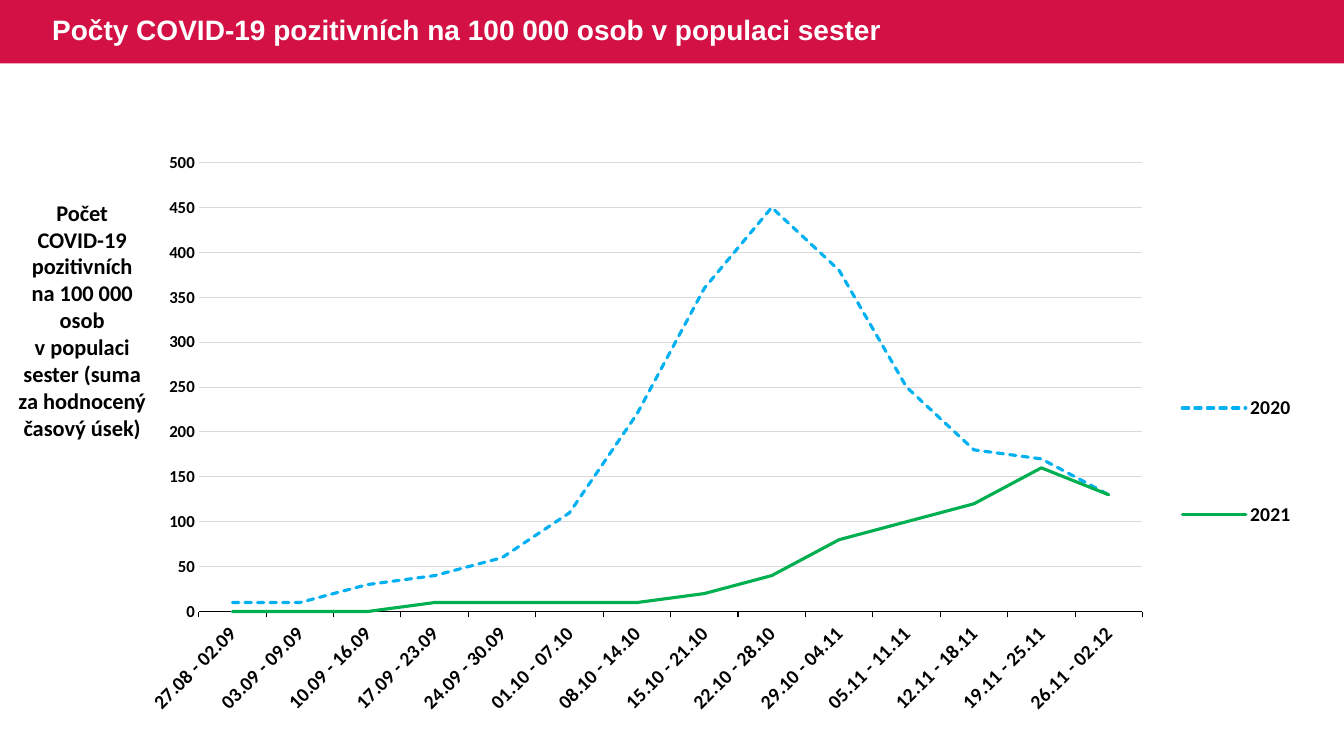
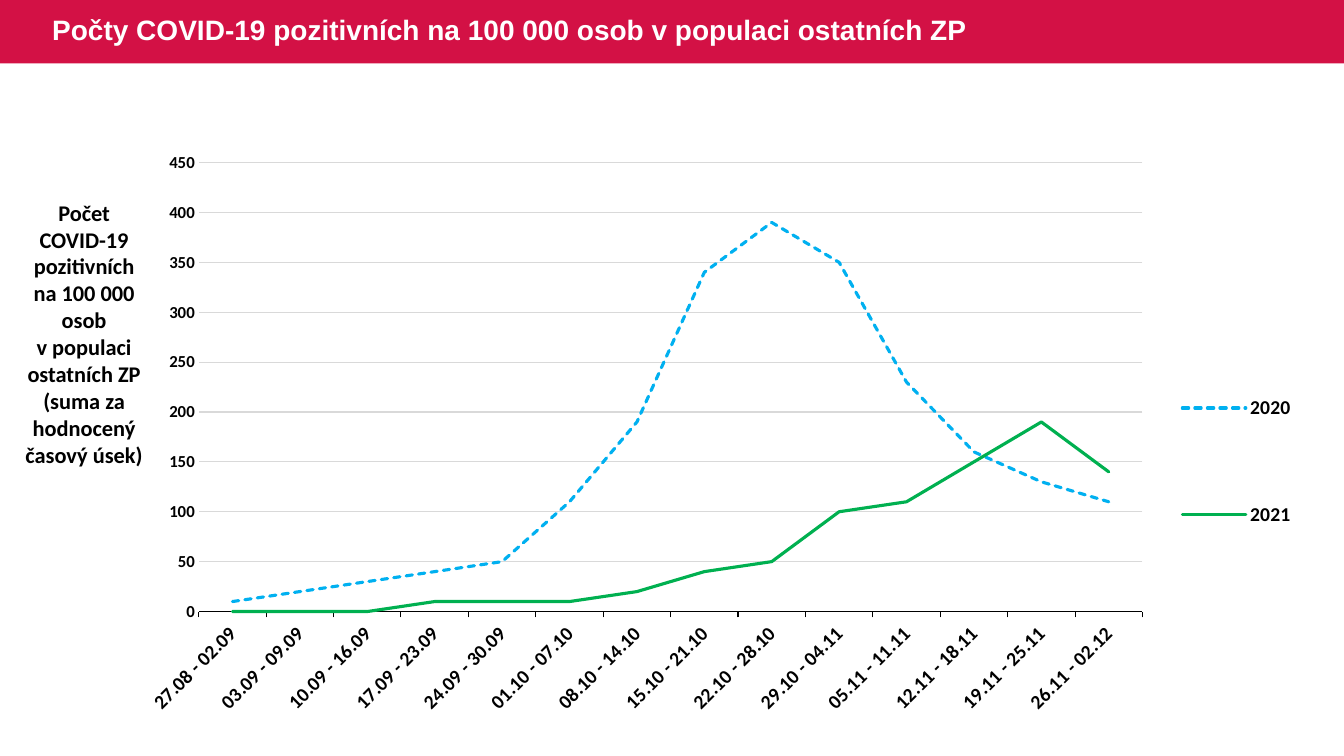
from dataclasses import dataclass

from lxml.etree import SubElement
from pptx import Presentation
from pptx.chart.data import CategoryChartData
from pptx.dml.color import RGBColor
from pptx.enum.chart import XL_CHART_TYPE, XL_LEGEND_POSITION, XL_TICK_MARK
from pptx.enum.dml import MSO_LINE
from pptx.enum.shapes import MSO_SHAPE
from pptx.enum.text import MSO_ANCHOR, PP_ALIGN
from pptx.oxml.ns import qn
from pptx.util import Pt

# Content
HARD_SPACE = chr(160)
RATE = f"Počet COVID-19 pozitivních na{HARD_SPACE}100{HARD_SPACE}000 osob v{HARD_SPACE}populaci"
PERIOD = "(suma za hodnocený časový úsek)"
WEEKS = [
    "27.08 - 02.09", "03.09 - 09.09", "10.09 - 16.09", "17.09 - 23.09",
    "24.09 - 30.09", "01.10 - 07.10", "08.10 - 14.10", "15.10 - 21.10",
    "22.10 - 28.10", "29.10 - 04.11", "05.11 - 11.11", "12.11 - 18.11",
    "19.11 - 25.11", "26.11 - 02.12",
]
SLIDES = [
    {
        "title": "Počty COVID-19 pozitivních na 100 000 osob v populaci sester",
        "axis_note": f"{RATE} sester {PERIOD}",
        "note_box": (4, 138.5, 109.4, 163),
        "axis_maximum": 500,
        "series": {
            "2020": [10, 10, 30, 40, 60, 110, 220, 360, 450, 380, 250, 180, 170, 130],
            "2021": [0, 0, 0, 10, 10, 10, 10, 20, 40, 80, 100, 120, 160, 130],
        },
    },
    {
        "title": "Počty COVID-19 pozitivních na 100 000 osob v populaci ostatních ZP",
        "axis_note": f"{RATE} ostatních ZP {PERIOD}",
        "note_box": (10.8, 138.5, 98.6, 201),
        "axis_maximum": 450,
        "series": {
            "2020": [10, 20, 30, 40, 50, 110, 190, 340, 390, 350, 230, 160, 130, 110],
            "2021": [0, 0, 0, 10, 10, 10, 20, 40, 50, 100, 110, 150, 190, 140],
        },
    },
]


# Shared look
@dataclass(frozen=True)
class Theme:
    band: RGBColor = RGBColor(0xD3, 0x11, 0x45)
    white: RGBColor = RGBColor(0xFF, 0xFF, 0xFF)
    black: RGBColor = RGBColor(0, 0, 0)
    grid: RGBColor = RGBColor(0xD9, 0xD9, 0xD9)
    blue: RGBColor = RGBColor(0x00, 0xB0, 0xF0)
    green: RGBColor = RGBColor(0x00, 0xB0, 0x50)
    title_font: str = "Arial"
    body_font: str = "Calibri"
    title_size: int = 20
    note_size: int = 16
    label_size: int = 14
    value_size: int = 12


THEME = Theme()
SERIES_LINES = [(THEME.blue, MSO_LINE.SQUARE_DOT), (THEME.green, MSO_LINE.SOLID)]
SLIDE_WIDTH, SLIDE_HEIGHT, BAND_HEIGHT = 960, 540, 45.4
TITLE_BOX = (30.2, 0, 900, BAND_HEIGHT)
CHART_BOX = (104.2, 109, 839.5, 422.6)
PLOT_LAYOUT = (0.045, 0.017, 0.803, 0.759)
LEGEND_LAYOUT = (0.878, 0.272, 0.1, 0.5)


def points(box):
    return [Pt(length) for length in box]


def style_font(font, size, name=THEME.body_font, color=THEME.black):
    font.name, font.size, font.bold = name, Pt(size), True
    font.color.rgb = color


def add_text(slide, text, box, *, size, font=THEME.body_font, color=THEME.black,
             align=PP_ALIGN.LEFT, anchor=MSO_ANCHOR.TOP, line_spacing=1.0):
    frame = slide.shapes.add_textbox(*points(box)).text_frame
    frame.word_wrap = True
    frame.vertical_anchor = anchor
    paragraph = frame.paragraphs[0]
    paragraph.alignment, paragraph.line_spacing = align, line_spacing
    run = paragraph.add_run()
    run.text = text
    style_font(run.font, size, font, color)


def add_band(slide):
    band = slide.shapes.add_shape(
        MSO_SHAPE.RECTANGLE, *points((0, 0, SLIDE_WIDTH, BAND_HEIGHT)))
    band.shadow.inherit = False
    band.fill.solid()
    band.fill.fore_color.rgb = THEME.band
    band.line.fill.background()


def set_layout(parent, index, fractions, inner=False):
    """Place a chart part by fractions of the chart area."""
    for old_layout in parent.findall(qn("c:layout")):
        parent.remove(old_layout)
    layout = SubElement(parent, qn("c:layout"))
    parent.insert(index, layout)
    manual = SubElement(layout, qn("c:manualLayout"))
    settings = [("layoutTarget", "inner")] if inner else []
    settings += [("xMode", "edge"), ("yMode", "edge")]
    settings += zip("xywh", fractions)
    for tag, value in settings:
        SubElement(manual, qn(f"c:{tag}")).set("val", str(value))


def add_line_chart(slide, series, axis_maximum):
    data = CategoryChartData()
    data.categories = WEEKS
    for name, values in series.items():
        data.add_series(name, values)
    chart = slide.shapes.add_chart(XL_CHART_TYPE.LINE, *points(CHART_BOX), data).chart
    chart.has_title = False
    style_font(chart.font, THEME.label_size)

    # Lines with round ends
    plot = chart.plots[0]
    plot.vary_by_categories = False
    for line_series, (color, dash) in zip(plot.series, SERIES_LINES):
        line_series.smooth = False
        line = line_series.format.line
        line.color.rgb, line.width, line.dash_style = color, Pt(2.25), dash
        line_series._element.find(qn("c:spPr")).find(qn("a:ln")).set("cap", "rnd")

    # Axes
    category_axis = chart.category_axis
    category_axis.major_tick_mark = XL_TICK_MARK.OUTSIDE
    category_axis.format.line.color.rgb = THEME.black
    category_axis.format.line.width = Pt(0.75)
    style_font(category_axis.tick_labels.font, THEME.label_size)
    label_body = category_axis._element.find(qn("c:txPr")).find(qn("a:bodyPr"))
    label_body.set("rot", "-2700000")
    label_body.set("vert", "horz")

    value_axis = chart.value_axis
    value_axis.minimum_scale, value_axis.maximum_scale = 0, axis_maximum
    value_axis.major_unit = 50
    value_axis.major_tick_mark = XL_TICK_MARK.NONE
    value_axis.format.line.fill.background()
    style_font(value_axis.tick_labels.font, THEME.value_size)
    grid_line = value_axis.major_gridlines.format.line
    grid_line.color.rgb, grid_line.width = THEME.grid, Pt(0.75)

    # Legend and placement
    chart.has_legend = True
    legend = chart.legend
    legend.position = XL_LEGEND_POSITION.RIGHT
    legend.include_in_layout = False
    style_font(legend.font, THEME.label_size)
    set_layout(legend._element, 1, LEGEND_LAYOUT)
    set_layout(plot._element.getparent(), 0, PLOT_LAYOUT, inner=True)


def main():
    presentation = Presentation()
    presentation.slide_width = Pt(SLIDE_WIDTH)
    presentation.slide_height = Pt(SLIDE_HEIGHT)
    for content in SLIDES:
        slide = presentation.slides.add_slide(presentation.slide_layouts[6])
        add_band(slide)
        add_text(slide, content["title"], TITLE_BOX, size=THEME.title_size,
                 font=THEME.title_font, color=THEME.white,
                 anchor=MSO_ANCHOR.MIDDLE, line_spacing=0.9)
        add_text(slide, content["axis_note"], content["note_box"],
                 size=THEME.note_size, align=PP_ALIGN.CENTER)
        add_line_chart(slide, content["series"], content["axis_maximum"])
    presentation.save("out.pptx")


if __name__ == "__main__":
    main()
